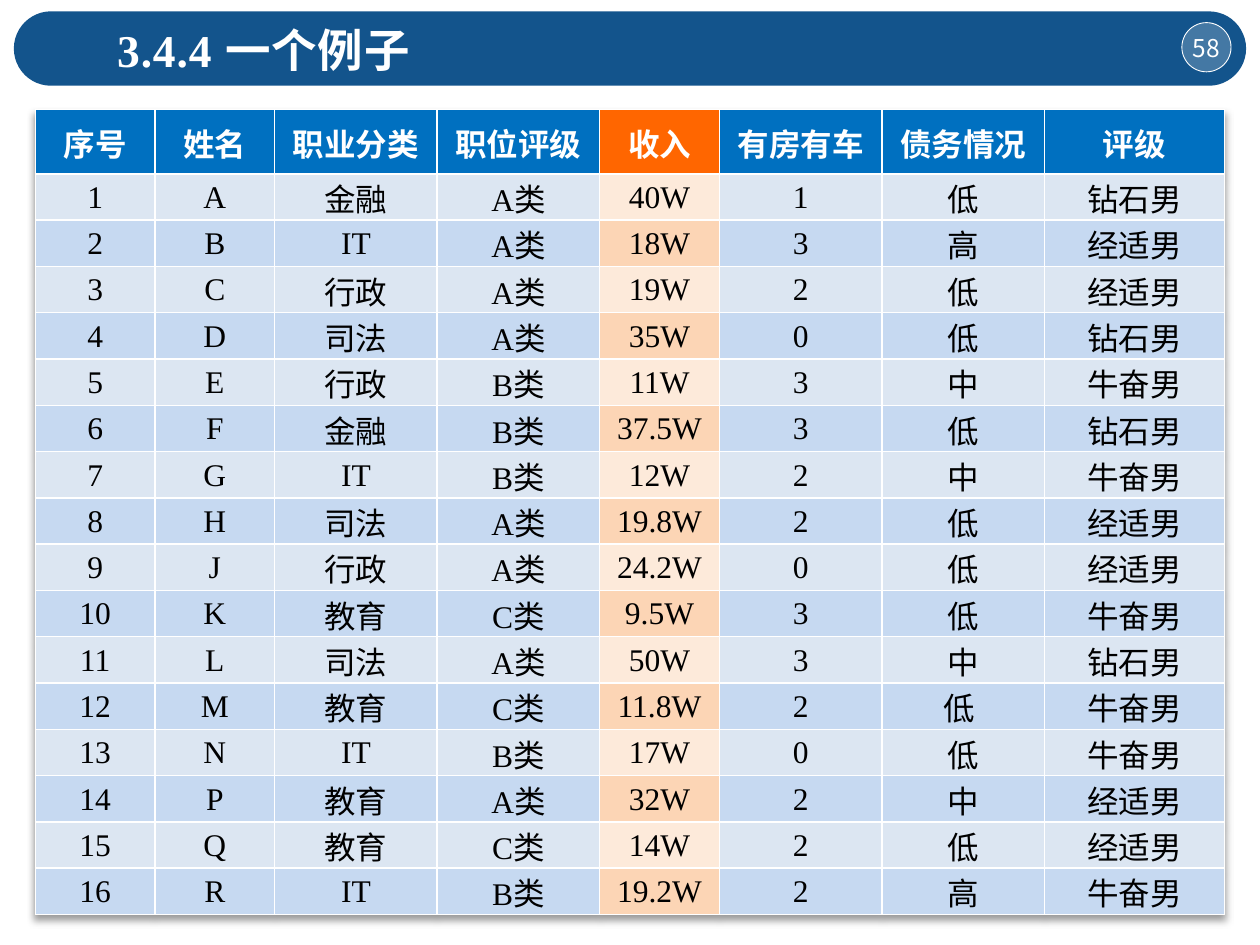
import pptx
import pptx.util
import pptx.oxml
import pptx.oxml.ns
import pptx.dml.color
import pptx.enum.shapes
import pptx.enum.text
from lxml import etree

Inches, Pt = pptx.util.Inches, pptx.util.Pt
RGBColor = pptx.dml.color.RGBColor
qn = pptx.oxml.ns.qn
MIDDLE = pptx.enum.text.MSO_ANCHOR.MIDDLE
CENTER = pptx.enum.text.PP_ALIGN.CENTER

WHITE = RGBColor(0xFF, 0xFF, 0xFF)
BLACK = RGBColor(0, 0, 0)
BAR_BLUE = RGBColor(0x13, 0x54, 0x8C)
HEADER_BLUE = RGBColor(0x00, 0x70, 0xC0)
HEADER_ORANGE = RGBColor(0xFF, 0x66, 0x00)
ROW_BLUES = [RGBColor(0xDC, 0xE6, 0xF2), RGBColor(0xC6, 0xD9, 0xF1)]
ROW_ORANGES = [RGBColor(0xFD, 0xEA, 0xDA), RGBColor(0xFC, 0xD5, 0xB5)]
LATIN_FONT, CJK_FONT = "Times New Roman", "Noto Sans CJK SC"


def add_run(paragraph, text, size, color, bold=False, font=LATIN_FONT):
    run = paragraph.add_run()
    run.text = text
    run.font.size = Pt(size)
    run.font.bold = bold
    run.font.color.rgb = color
    run.font.name = font
    etree.SubElement(run.font._element, qn("a:ea"), typeface=CJK_FONT)
    return run


def add_cell_border(cell, side):
    line = etree.SubElement(cell._tc.get_or_add_tcPr(), qn(f"a:{side}"), w=str(Pt(1)))
    fill = etree.SubElement(line, qn("a:solidFill"))
    etree.SubElement(fill, qn("a:srgbClr"), val=str(WHITE))


presentation = pptx.Presentation()
presentation.slide_width, presentation.slide_height = Inches(10), Inches(7.5)
slide = presentation.slides.add_slide(presentation.slide_layouts[5])
shapes = slide.shapes

# Title bar, placed behind the title
title_bar = shapes.add_shape(
    pptx.enum.shapes.MSO_SHAPE.ROUNDED_RECTANGLE,
    Inches(0.11), Inches(0.09), Inches(9.78), Inches(0.59))
title_bar.adjustments[0] = 0.5
title_bar.shadow.inherit = False
title_bar.fill.solid()
title_bar.fill.fore_color.rgb = BAR_BLUE
title_bar.line.fill.background()
shapes._spTree.insert(2, title_bar._element)

# Page number badge
page_badge = shapes.add_shape(
    pptx.enum.shapes.MSO_SHAPE.OVAL,
    Inches(9.38), Inches(0.18), Inches(0.39), Inches(0.39))
page_badge.shadow.inherit = False
page_badge.fill.solid()
page_badge.fill.fore_color.rgb = WHITE
badge_color = page_badge._element.spPr.find(qn("a:solidFill"))[0]
etree.SubElement(badge_color, qn("a:alpha"), val="21000")
page_badge.line.color.rgb = WHITE
page_badge.line.width = Pt(0.5)
badge_frame = page_badge.text_frame
badge_frame.margin_left = badge_frame.margin_right = 0
badge_frame.margin_top = badge_frame.margin_bottom = 0
badge_frame.word_wrap = False
badge_frame.vertical_anchor = MIDDLE
badge_frame.paragraphs[0].alignment = CENTER
add_run(badge_frame.paragraphs[0], "58", 14, WHITE, font=CJK_FONT)
shapes._spTree.insert(3, page_badge._element)

# Title
title = shapes.title
title.left, title.top = Inches(0.83), Inches(0.12)
title.width, title.height = Inches(6.34), Inches(0.54)
title_frame = title.text_frame
title_frame.auto_size = pptx.enum.text.MSO_AUTO_SIZE.SHAPE_TO_FIT_TEXT
title_frame.vertical_anchor = MIDDLE
title_frame.paragraphs[0].alignment = pptx.enum.text.PP_ALIGN.LEFT
title_run = add_run(title_frame.paragraphs[0], "3.4.4 一个例子", 26, WHITE, bold=True)
title_run.font._element.set("spc", "50")

# Rating table
HEADERS = ["序号", "姓名", "职业分类", "职位评级", "收入", "有房有车", "债务情况", "评级"]
INCOME_COLUMN = HEADERS.index("收入")
PEOPLE = [
    ("A", "金融", "A类", "40W", "1", "低", "钻石男"),
    ("B", "IT", "A类", "18W", "3", "高", "经适男"),
    ("C", "行政", "A类", "19W", "2", "低", "经适男"),
    ("D", "司法", "A类", "35W", "0", "低", "钻石男"),
    ("E", "行政", "B类", "11W", "3", "中", "牛奋男"),
    ("F", "金融", "B类", "37.5W", "3", "低", "钻石男"),
    ("G", "IT", "B类", "12W", "2", "中", "牛奋男"),
    ("H", "司法", "A类", "19.8W", "2", "低", "经适男"),
    ("J", "行政", "A类", "24.2W", "0", "低", "经适男"),
    ("K", "教育", "C类", "9.5W", "3", "低", "牛奋男"),
    ("L", "司法", "A类", "50W", "3", "中", "钻石男"),
    ("M", "教育", "C类", "11.8W", "2", "低 ", "牛奋男"),
    ("N", "IT", "B类", "17W", "0", "低", "牛奋男"),
    ("P", "教育", "A类", "32W", "2", "中", "经适男"),
    ("Q", "教育", "C类", "14W", "2", "低", "经适男"),
    ("R", "IT", "B类", "19.2W", "2", "高", "牛奋男"),
]
rows = [HEADERS] + [(str(number), *person) for number, person in enumerate(PEOPLE, 1)]
COLUMN_WIDTHS = [0.95, 0.95, 1.29, 1.29, 0.95, 1.29, 1.29, 1.43]
TABLE_HEIGHT, HEADER_HEIGHT = 6.39, 0.51

rating_table = shapes.add_table(
    len(rows), len(HEADERS), Inches(0.28), Inches(0.87),
    Inches(sum(COLUMN_WIDTHS)), Inches(TABLE_HEIGHT)).table
for column, width in zip(rating_table.columns, COLUMN_WIDTHS):
    column.width = Inches(width)
for row in rating_table.rows:
    row.height = Inches((TABLE_HEIGHT - HEADER_HEIGHT) / len(PEOPLE))
rating_table.rows[0].height = Inches(HEADER_HEIGHT)

for row_index, values in enumerate(rows):
    is_header = row_index == 0
    if is_header:
        row_fill, income_fill = HEADER_BLUE, HEADER_ORANGE
    else:
        band = (row_index - 1) % 2
        row_fill, income_fill = ROW_BLUES[band], ROW_ORANGES[band]
    for column_index, value in enumerate(values):
        cell = rating_table.cell(row_index, column_index)
        cell.margin_left = cell.margin_right = cell.margin_top = Inches(0.01)
        cell.margin_bottom = 0
        cell.vertical_anchor = MIDDLE
        for side in ("lnL", "lnR", "lnT", "lnB"):
            add_cell_border(cell, side)
        cell.fill.solid()
        cell.fill.fore_color.rgb = income_fill if column_index == INCOME_COLUMN else row_fill
        paragraph = cell.text_frame.paragraphs[0]
        paragraph.alignment = CENTER
        add_run(paragraph, value, 18, WHITE if is_header else BLACK, bold=is_header)

# Soft shadow below the table
effects = etree.Element(qn("a:effectLst"))
shadow = etree.SubElement(effects, qn("a:outerShdw"), blurRad=str(Pt(4)),
                          dist=str(Pt(3)), dir="5400000", rotWithShape="0")
shadow_color = etree.SubElement(shadow, qn("a:srgbClr"), val=str(BLACK))
etree.SubElement(shadow_color, qn("a:alpha"), val="40000")
rating_table._tbl.tblPr.insert(0, effects)

presentation.save("out.pptx")
